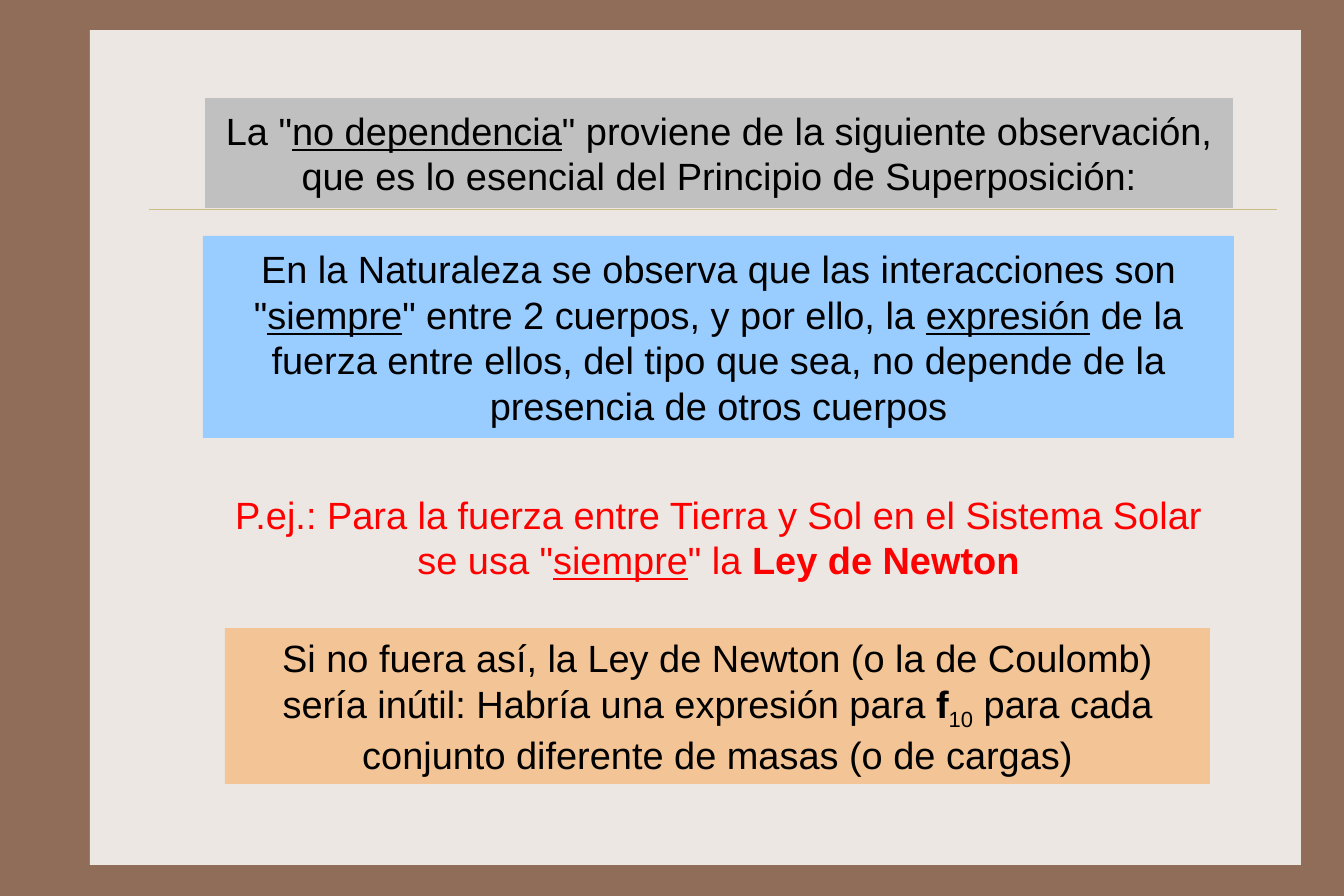
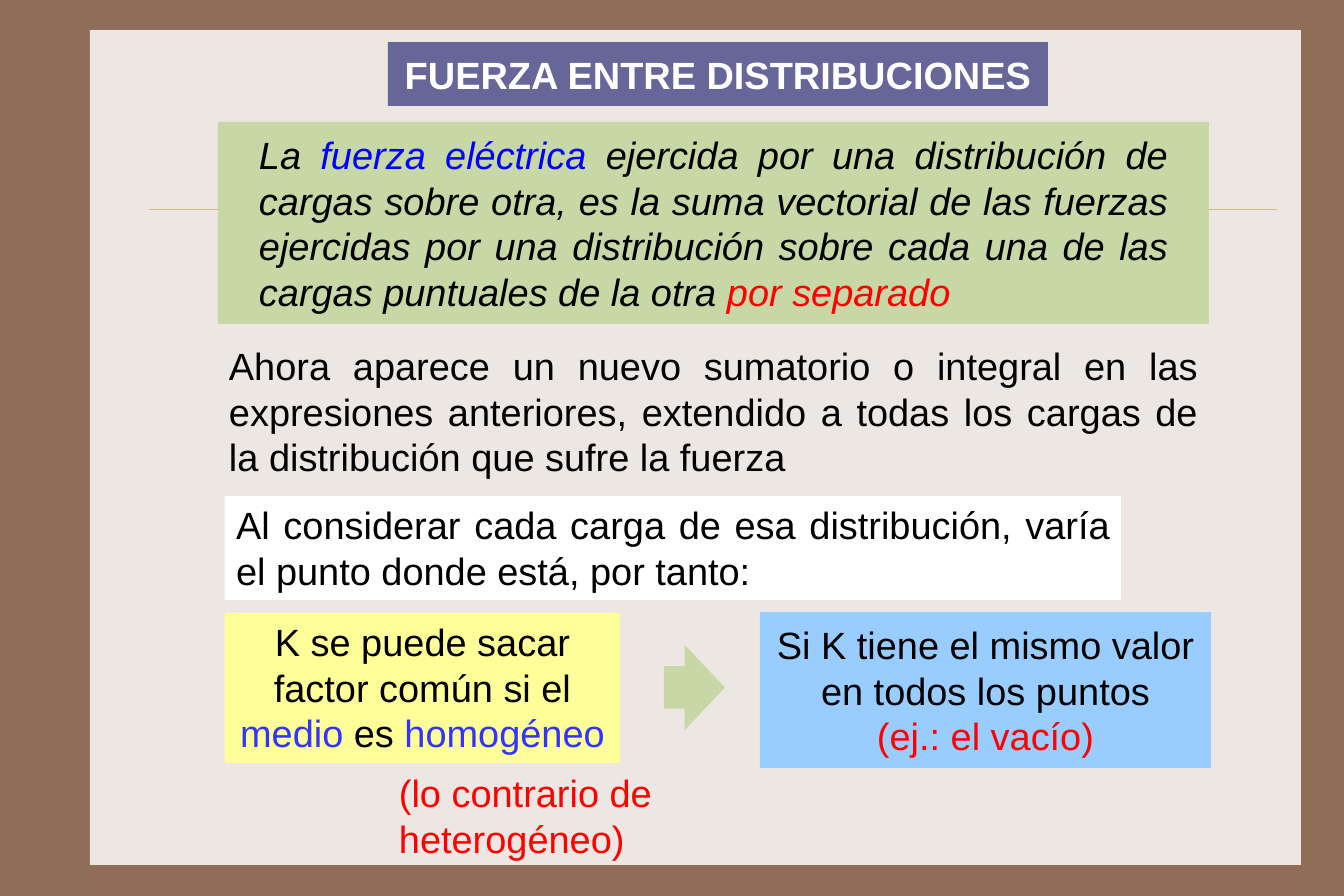
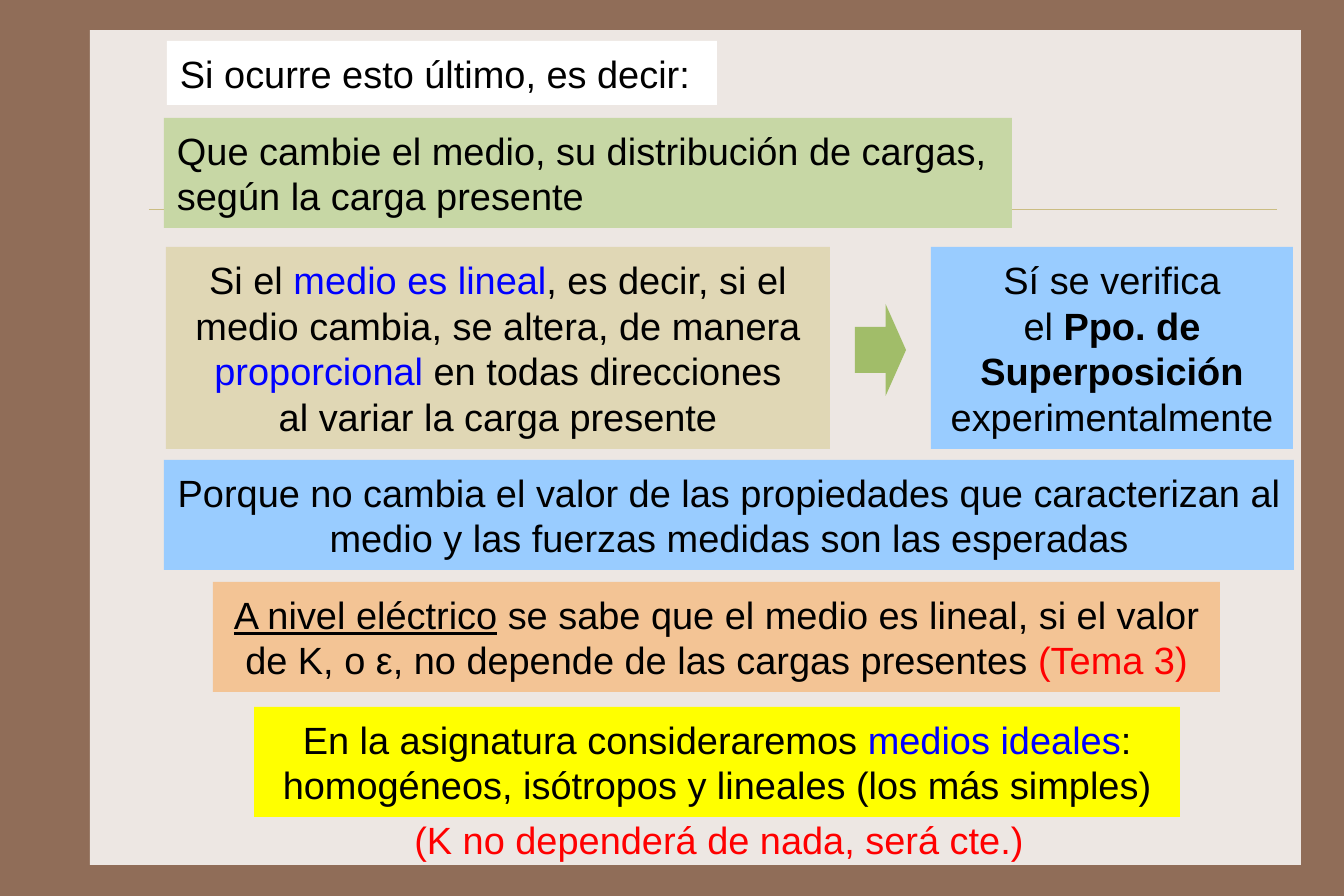
"""Build three slides on the superposition principle and the force between distributions."""
from dataclasses import dataclass, field

import pptx
import pptx.dml.color
import pptx.enum.shapes
import pptx.enum.text
import pptx.oxml.ns
import pptx.util
from lxml import etree

PX = 8037
FONT = "Arial"
SIZE = 24
BROWN, PANEL, RULE = "906D58", "EDE7E3", "CBBD83"
BLACK, WHITE, RED, BLUE, VIOLET = "000000", "FFFFFF", "FF0000", "0000FF", "3333FF"
SKY, PEACH, SAGE, MOSS, SAND = "99CCFF", "F3C495", "C7D7A5", "A1BD69", "E0D7B5"
GREY, SLATE, CREAM, YELLOW = "C0C0C0", "666699", "FFFF99", "FFFF00"

ALIGN = pptx.enum.text.PP_ALIGN
ANCHOR = pptx.enum.text.MSO_ANCHOR
SHAPE = pptx.enum.shapes.MSO_SHAPE
UNDER = {"underline": True}
BOLD = {"bold": True}
ITALIC = {"italic": True}


@dataclass
class Run:
    text: str
    ink: str = BLACK
    look: dict = field(default_factory=dict)
    base: int = 0


@dataclass
class Box:
    place: tuple[int, int, int, int]
    fill: str
    paras: list[list[Run]]
    align: ALIGN = ALIGN.CENTER
    anchor: ANCHOR = ANCHOR.MIDDLE
    side: int = 13
    edge: int = 9


@dataclass
class Arrow:
    place: tuple[int, int, int, int]
    fill: str
    tip: float


@dataclass
class Page:
    title: Box
    items: list[Box | Arrow]


def rgb(code: str) -> pptx.dml.color.RGBColor:
    return pptx.dml.color.RGBColor.from_string(code)


def emu(place: tuple[int, ...]) -> list[pptx.util.Emu]:
    return [pptx.util.Emu(n * PX) for n in place]


def paint(shape, code: str) -> None:
    shape.fill.solid()
    shape.fill.fore_color.rgb = rgb(code)
    shape.line.fill.background()


def solid(slide, kind: SHAPE, place: tuple[int, ...], code: str):
    shape = slide.shapes.add_shape(kind, *emu(place))
    shape.shadow.inherit = False
    paint(shape, code)
    return shape


def write(shape, box: Box) -> None:
    frame = shape.text_frame
    side, edge = emu((box.side, box.edge))
    values = {
        "word_wrap": True,
        "auto_size": pptx.enum.text.MSO_AUTO_SIZE.NONE,
        "vertical_anchor": box.anchor,
        "margin_left": side,
        "margin_right": side,
        "margin_top": edge,
        "margin_bottom": edge,
    }
    for name, value in values.items():
        setattr(frame, name, value)
    for i, runs in enumerate(box.paras):
        para = frame.add_paragraph() if i else frame.paragraphs[0]
        para.alignment = box.align
        for part in runs:
            run = para.add_run()
            run.text = part.text
            look = {"name": FONT, "size": pptx.util.Pt(SIZE), **part.look}
            for name, value in look.items():
                setattr(run.font, name, value)
            run.font.color.rgb = rgb(part.ink)
            if part.base:
                run._r.get_or_add_rPr().set("baseline", str(part.base * 1000))


def draw(slide, item: Box | Arrow) -> None:
    if isinstance(item, Arrow):
        arrow = solid(slide, SHAPE.RIGHT_ARROW, item.place, item.fill)
        arrow.adjustments[1] = item.tip
    elif item.fill:
        write(solid(slide, SHAPE.RECTANGLE, item.place, item.fill), item)
    else:
        write(slide.shapes.add_textbox(*emu(item.place)), item)


def head(slide, box: Box) -> None:
    title = slide.shapes.title
    spots = zip(("left", "top", "width", "height"), emu(box.place))
    for name, value in spots:
        setattr(title, name, value)
    paint(title, box.fill)
    write(title, box)


def frame(deck, layout, slide) -> None:
    back = deck.slide_master.background.fill
    back.solid()
    back.fore_color.rgb = rgb(BROWN)
    panel = solid(slide, SHAPE.RECTANGLE, (90, 30, 1211, 835), PANEL)
    kind = pptx.enum.shapes.MSO_CONNECTOR.STRAIGHT
    rule = slide.shapes.add_connector(kind, *emu((149, 209, 1277, 209)))
    rule.line.color.rgb = rgb(RULE)
    rule.line.width = pptx.util.Pt(0.25)
    etree.SubElement(rule.element.spPr, pptx.oxml.ns.qn("a:effectLst"))
    for i, shape in enumerate((panel, rule)):
        layout.shapes.element.insert(2 + i, shape.element)


PAGES = [
    Page(
        Box((205, 98, 1028, 110), GREY, [
            [Run('La "'), Run("no dependencia", look=UNDER),
             Run('" proviene de la siguiente observación,')],
            [Run("que es lo esencial del Principio de Superposición:")],
        ]),
        [
            Box((225, 628, 985, 156), PEACH, [[
                Run("Si no fuera así, la Ley de Newton (o la de Coulomb) sería inútil: "
                    "Habría una expresión para "),
                Run("f", look=BOLD), Run("10", base=-25),
                Run(" para cada conjunto diferente de masas (o de cargas)"),
            ]]),
            Box((203, 236, 1031, 202), SKY, [[
                Run('En la Naturaleza se observa que las interacciones son "'),
                Run("siempre", look=UNDER),
                Run('" entre 2 cuerpos, y por ello, la '),
                Run("expresión", look=UNDER),
                Run(" de la fuerza entre ellos, del tipo que sea, no depende de la "
                    "presencia de otros cuerpos"),
            ]]),
            Box((203, 482, 1031, 110), "", [[
                Run('P.ej.: Para la fuerza entre Tierra y Sol en el Sistema Solar se usa "',
                    RED),
                Run("siempre", RED, UNDER), Run('" la ', RED),
                Run("Ley de Newton", RED, BOLD),
            ]]),
        ],
    ),
    Page(
        Box((388, 42, 660, 64), SLATE,
            [[Run("FUERZA ENTRE DISTRIBUCIONES", WHITE, BOLD)]], side=6),
        [
            Box((218, 122, 991, 202), SAGE, [[
                Run("La ", look=ITALIC), Run("fuerza eléctrica", BLUE, ITALIC),
                Run(" ejercida por una distribución de cargas sobre otra, es la suma "
                    "vectorial de las fuerzas ejercidas por una distribución sobre cada "
                    "una de las cargas puntuales de la otra ", look=ITALIC),
                Run("por separado", RED, ITALIC),
            ]], ALIGN.JUSTIFY, side=41),
            Box((225, 613, 395, 150), CREAM, [[
                Run("K se puede sacar factor común si el "), Run("medio ", VIOLET),
                Run("es "), Run("homogéneo", VIOLET),
            ]], anchor=ANCHOR.TOP, side=11, edge=6),
            Box((760, 612, 451, 156), SKY, [
                [Run("Si K tiene el mismo valor en todos los puntos")],
                [Run("(ej.: el vacío)", RED)],
            ]),
            Arrow((664, 645, 61, 85), SAGE, 0.66),
            Box((218, 337, 991, 149), "", [[
                Run("Ahora aparece un nuevo sumatorio o integral en las expresiones "
                    "anteriores, extendido a todas los cargas de la distribución que "
                    "sufre la fuerza"),
            ]], ALIGN.JUSTIFY, ANCHOR.TOP, 11, 6),
            Box((388, 764, 277, 104), "",
                [[Run("(lo contrario de heterogéneo)", RED)]],
                ALIGN.LEFT, ANCHOR.TOP, 11, 6),
            Box((225, 496, 896, 104), WHITE, [[
                Run("Al considerar cada carga de esa distribución, varía el punto donde "
                    "está, por tanto:"),
            ]], ALIGN.JUSTIFY, ANCHOR.TOP, 11, 6),
        ],
    ),
    Page(
        Box((167, 41, 550, 64), WHITE,
            [[Run("Si ocurre esto último, es decir:")]], ALIGN.LEFT),
        [
            Box((166, 247, 664, 202), SAND, [
                [Run("Si el "), Run("medio es lineal", BLUE),
                 Run(", es decir, si el medio cambia, se altera, de manera "),
                 Run("proporcional ", BLUE), Run("en todas direcciones")],
                [Run("al variar la carga presente")],
            ]),
            Box((213, 582, 1007, 110), PEACH, [[
                Run("A nivel eléctrico", look=UNDER),
                Run(" se sabe que el medio es lineal, si el valor de K, o ε, no depende "
                    "de las cargas presentes "),
                Run("(Tema 3)", RED),
            ]]),
            Box((254, 707, 926, 110), YELLOW, [[
                Run("En la asignatura consideraremos "), Run("medios ideales", BLUE),
                Run(": homogéneos, isótropos y lineales (los más simples)"),
            ]]),
            Box((164, 118, 848, 110), SAGE, [[
                Run("Que cambie el medio, su distribución de cargas, según la carga "
                    "presente"),
            ]], ALIGN.LEFT),
            Box((931, 247, 362, 202), SKY, [
                [Run("Sí se verifica")],
                [Run("el "), Run("Ppo. de Superposición", look=BOLD),
                 Run(" experimentalmente")],
            ]),
            Arrow((855, 304, 51, 92), MOSS, 0.4),
            Box((164, 460, 1130, 110), SKY, [[
                Run("Porque no cambia el valor de las propiedades que caracterizan al "
                    "medio y las fuerzas medidas son las esperadas"),
            ]], side=11),
            Box((389, 811, 660, 57), "",
                [[Run("(K no dependerá de nada, será cte.)", RED)]],
                anchor=ANCHOR.TOP, side=11, edge=6),
        ],
    ),
]


def main() -> None:
    deck = pptx.Presentation()
    deck.slide_width, deck.slide_height = emu((1344, 896))
    layout = deck.slide_layouts[5]
    for i, page in enumerate(PAGES):
        slide = deck.slides.add_slide(layout)
        if i == 0:
            frame(deck, layout, slide)
        head(slide, page.title)
        for item in page.items:
            draw(slide, item)
    deck.save("out.pptx")


if __name__ == "__main__":
    main()
